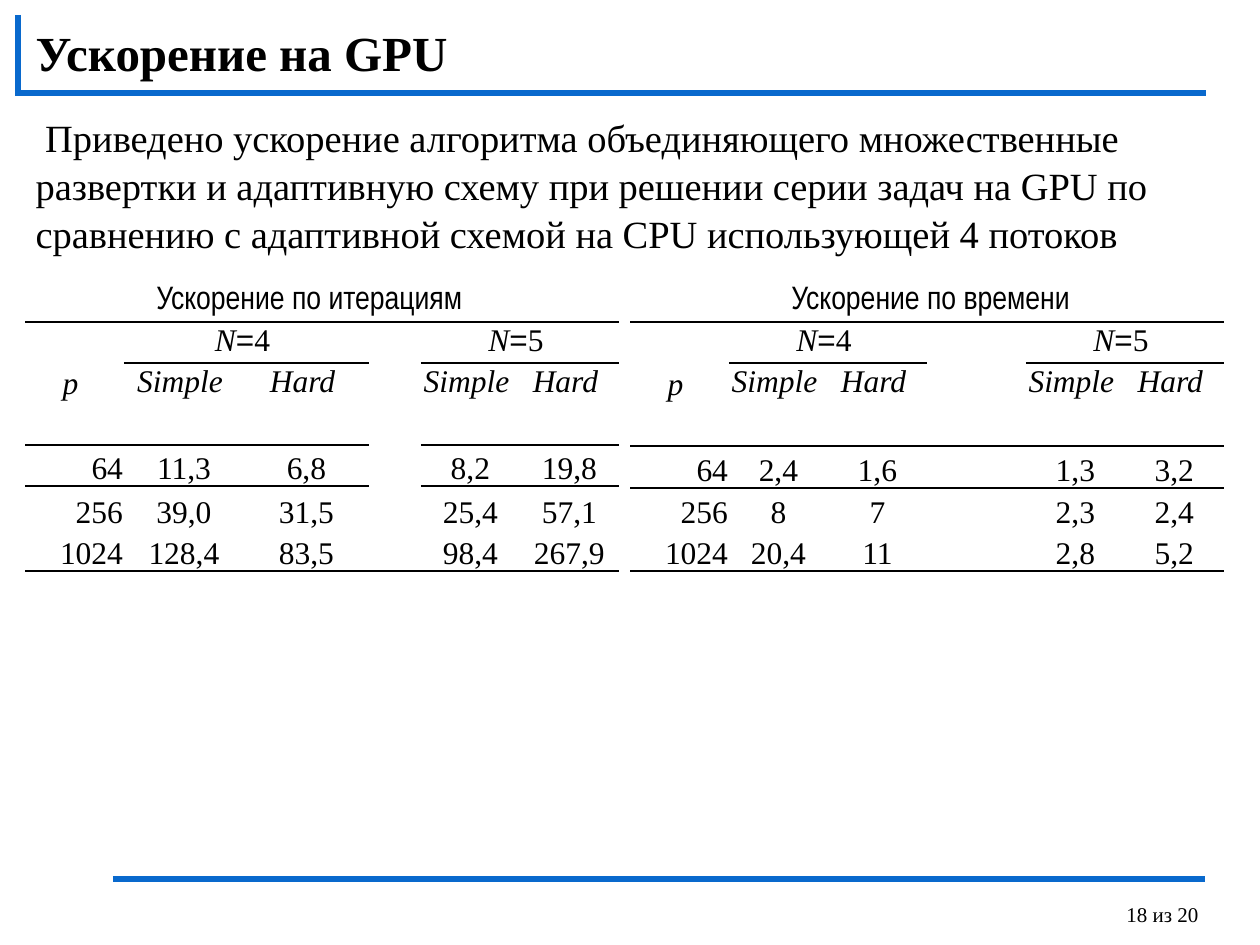
import pptx
import pptx.util
import pptx.dml.color
import pptx.enum.shapes
import pptx.enum.text
import pptx.oxml
import pptx.oxml.ns

PX = 914400 / 126
COLORS = {"text": "000000", "rule": "0969CD"}
SERIF = "Times New Roman"
ALIGN = pptx.enum.text.PP_ALIGN
ANCHOR = pptx.enum.text.MSO_ANCHOR
NS = pptx.oxml.ns.nsdecls("a")
NO_STYLE = "{2D5ABB26-0587-4C30-8999-92F81FD0307C}"


def emu(*lengths):
    return [pptx.util.Emu(round(length * PX)) for length in lengths]


def write(paragraph, text, size, font=SERIF, bold=False, italic=False):
    run = paragraph.add_run()
    run.text = text
    run.font.size = pptx.util.Pt(size)
    run.font.name = font
    run.font.bold = bold
    run.font.italic = italic
    run.font.color.rgb = pptx.dml.color.RGBColor.from_string(COLORS["text"])


deck = pptx.Presentation()
deck.slide_width, deck.slide_height = emu(1260, 945)
slide = deck.slides.add_slide(deck.slide_layouts[1])

for x1, y1, x2, y2 in [(113, 879, 1205, 879), (15, 93, 1206, 93), (18, 15, 18, 95)]:
    rule = slide.shapes.add_connector(
        pptx.enum.shapes.MSO_CONNECTOR.STRAIGHT, *emu(x1, y1, x2, y2))
    rule.line.color.rgb = pptx.dml.color.RGBColor.from_string(COLORS["rule"])
    rule.line.width = pptx.util.Pt(3)
    rule._element.spPr.append(pptx.oxml.parse_xml(f"<a:effectLst {NS}/>"))

title = slide.shapes.title
title.left, title.top, title.width, title.height = emu(23, 20, 1071, 63)
title.text_frame.auto_size = pptx.enum.text.MSO_AUTO_SIZE.NONE
title.text_frame.vertical_anchor = ANCHOR.MIDDLE
heading = title.text_frame.paragraphs[0]
heading.alignment = ALIGN.LEFT
write(heading, "Ускорение на GPU", 28, bold=True)

body = slide.placeholders[1]
body.left, body.top, body.width, body.height = emu(-25, 106, 1240, 137)
body.text_frame.auto_size = pptx.enum.text.MSO_AUTO_SIZE.NONE
summary = body.text_frame.paragraphs[0]
summary.line_spacing = 1.04
summary_format = summary._p.get_or_add_pPr()
margin = emu(48)[0]
summary_format.set("marL", str(margin))
summary_format.set("indent", str(-margin))
summary_format.append(pptx.oxml.parse_xml(f"<a:buNone {NS}/>"))
write(summary, "\t Приведено ускорение алгоритма объединяющего множественные "
      "развертки и адаптивную схему при решении серии задач на GPU по "
      "сравнению с адаптивной схемой на CPU использующей 4 потоков", 22)

labels = [
    ("Ускорение по итерациям", (144, 271, 393, 52), 18.5, "Arial Narrow", 1),
    ("Ускорение по времени", (779, 271, 358, 52), 18.5, "Arial Narrow", 1),
    ("18 из 20", (1114, 883, 146, 62), 12, SERIF, 1.5),
]
for text, box, size, font, spacing in labels:
    label = slide.shapes.add_textbox(*emu(*box))
    label.text_frame.word_wrap = True
    line = label.text_frame.paragraphs[0]
    line.line_spacing = spacing
    write(line, text, size, font)

speedups = [
    {
        "left": 25,
        "columns": [99, 120, 125, 52, 99, 99],
        "rows": [41, 82, 41, 44, 41],
        "header_rule": [0, 1, 2, 4, 5],
        "values": [
            ["64", "11,3", "6,8", "", "8,2", "19,8"],
            ["256", "39,0", "31,5", "", "25,4", "57,1"],
            ["1024", "128,4", "83,5", "", "98,4", "267,9"],
        ],
    },
    {
        "left": 630,
        "columns": [99] * 6,
        "rows": [41, 83, 42, 42, 41],
        "header_rule": range(6),
        "values": [
            ["64", "2,4", "1,6", "", "1,3", "3,2"],
            ["256", "8", "7", "", "2,3", "2,4"],
            ["1024", "20,4", "11", "", "2,8", "5,2"],
        ],
    },
]
group_columns = [1, 2, 4, 5]
for speedup in speedups:
    frame = slide.shapes.add_table(5, 6, *emu(
        speedup["left"], 322, sum(speedup["columns"]), sum(speedup["rows"])))
    table = frame.table
    table.first_row = table.horz_banding = False
    frame._element.find(".//" + pptx.oxml.ns.qn("a:tableStyleId")).text = NO_STYLE
    for column, width in zip(table.columns, emu(*speedup["columns"])):
        column.width = width
    for row, height in zip(table.rows, emu(*speedup["rows"])):
        row.height = height

    table.cell(0, 0).merge(table.cell(1, 0))
    for column in (1, 4):
        table.cell(0, column).merge(table.cell(0, column + 1))

    top_rules = {(0, c) for c in range(6)}
    top_rules |= {(1, c) for c in group_columns}
    top_rules |= {(2, c) for c in speedup["header_rule"]}
    bottom_rules = {(r - 1, c) for r, c in top_rules if r}
    bottom_rules |= {(4, c) for c in range(6)}

    header = [["p ", "N=4 ", "", "", "N=5 ", ""],
              ["", "Simple ", "Hard ", "", "Simple ", "Hard "]]
    for r, texts in enumerate(header + speedup["values"]):
        for c, text in enumerate(texts):
            cell = table.cell(r, c)
            cell.margin_left = cell.margin_right = cell.margin_top = emu(1)[0]
            cell.margin_bottom = 0
            cell.fill.background()
            if r > 1:
                cell.vertical_anchor = ANCHOR.BOTTOM
            elif c == 0:
                cell.vertical_anchor = ANCHOR.MIDDLE
            borders = [("lnT", top_rules), ("lnB", bottom_rules)]
            edges = [edge for edge, places in borders if (r, c) in places]
            for position, edge in enumerate(edges):
                cell._tc.get_or_add_tcPr().insert(position, pptx.oxml.parse_xml(
                    f'<a:{edge} {NS} w="12700"><a:solidFill><a:srgbClr '
                    f'val="{COLORS["text"]}"/></a:solidFill></a:{edge}>'))
            if not text:
                continue
            line = cell.text_frame.paragraphs[0]
            line.alignment = ALIGN.RIGHT if r > 1 and c == 0 else ALIGN.CENTER
            name, equals, number = text.partition("=")
            write(line, name, 18, italic=r < 2)
            if equals:
                write(line, equals, 18, "Arial")
                write(line, number, 18)

deck.save("out.pptx")
